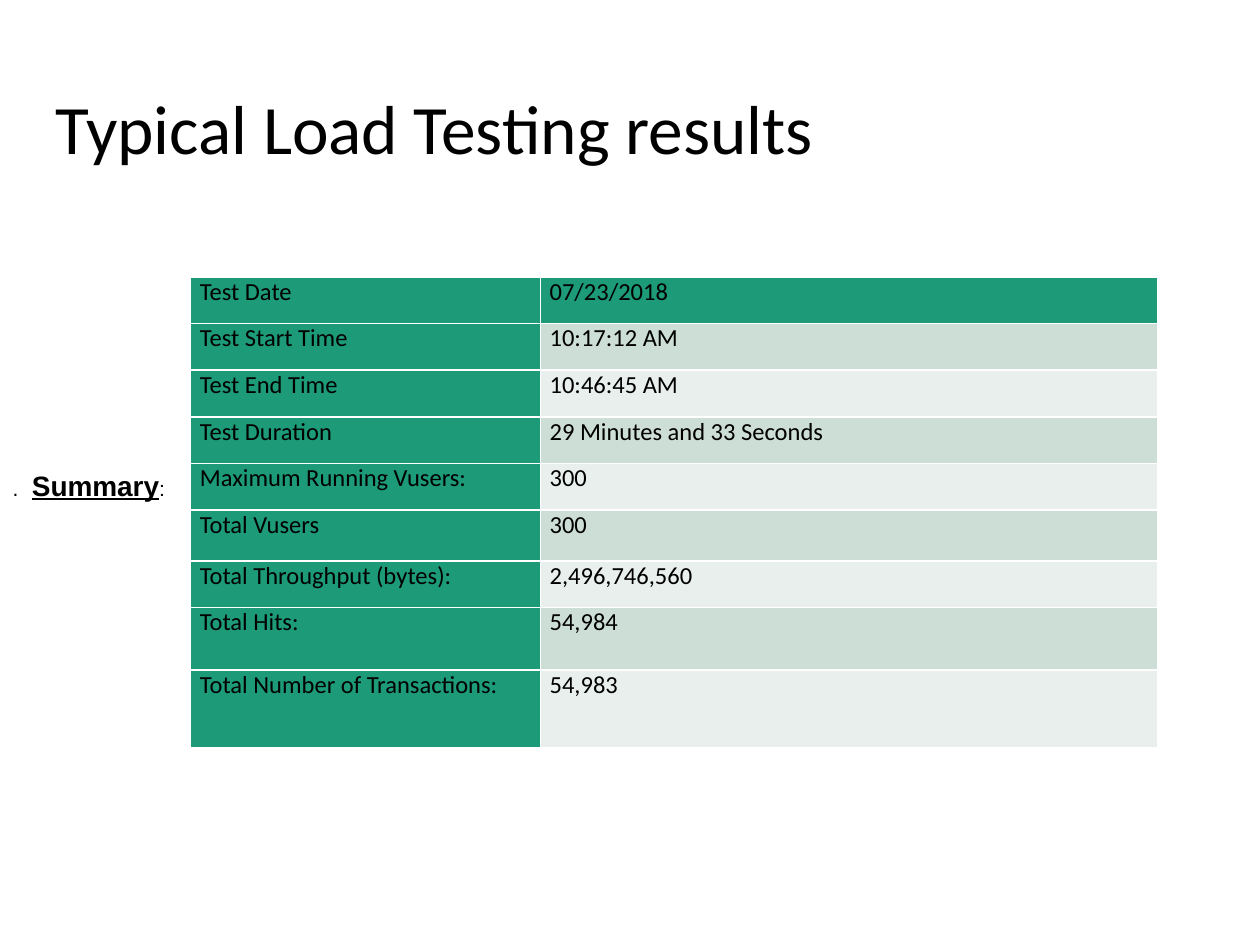
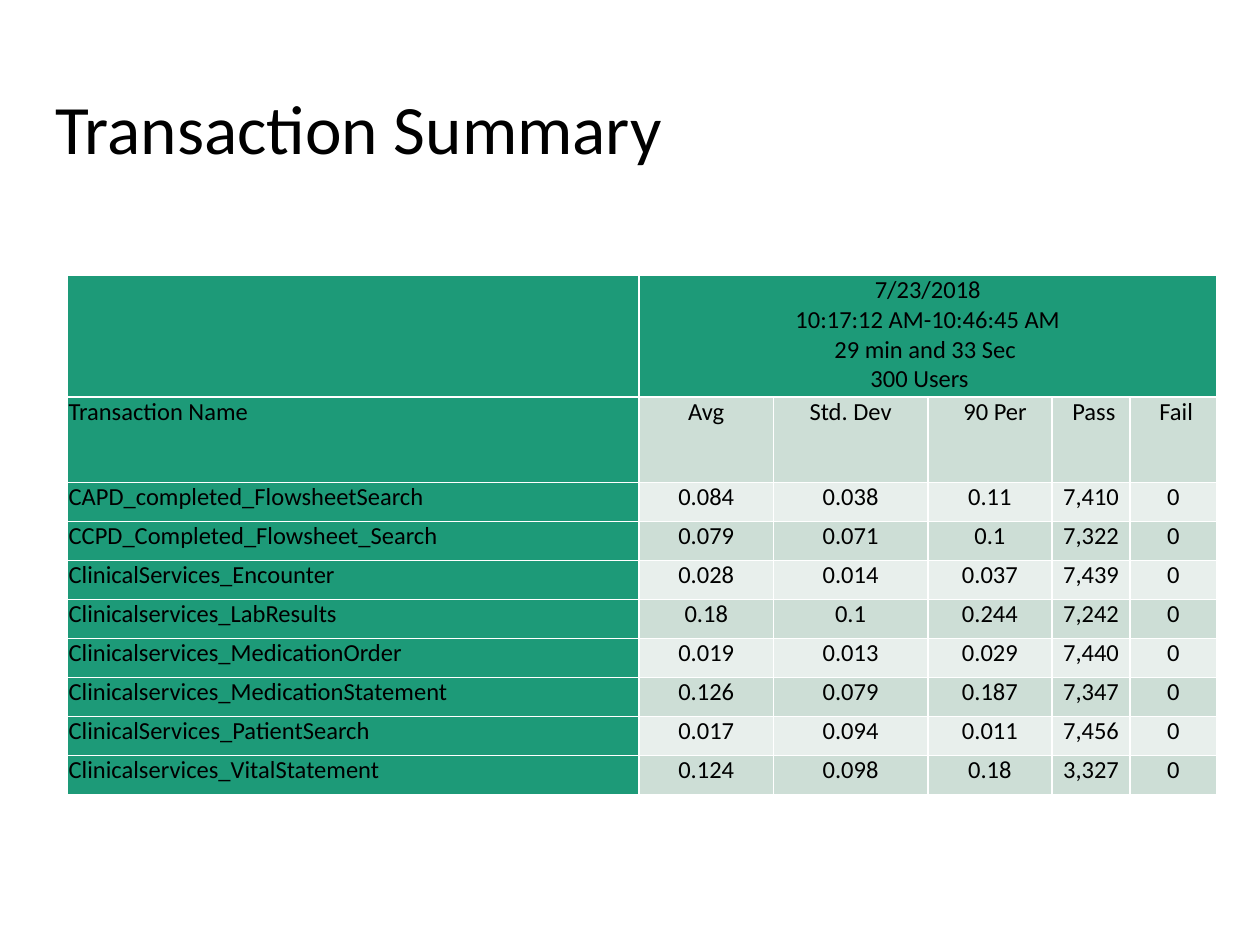
from pptx import Presentation
from pptx.util import Pt
from pptx.dml.color import RGBColor
from pptx.enum.text import PP_ALIGN, MSO_ANCHOR
from pptx.oxml.ns import qn
from lxml.etree import SubElement, Element

INK = {"text": "000000", "head": "1D9A78", "odd": "CDDED6",
       "even": "E8EFEC", "rule": "FFFFFF"}
TITLE = (24.6, 46.8, 671, 60.5)

FACTS = [
    ("Test Date", "07/23/2018"),
    ("Test Start Time", "10:17:12 AM"),
    ("Test End Time", "10:46:45 AM"),
    ("Test Duration", "29 Minutes and 33 Seconds"),
    ("Maximum Running Vusers:", "300"),
    ("Total Vusers", "300"),
    ("Total Throughput (bytes):", "2,496,746,560"),
    ("Total Hits:", "54,984"),
    ("Total Number of Transactions:", "54,983"),
]
RUN = "7/23/2018\n10:17:12 AM-10:46:45 AM\n29 min and 33 Sec\n300 Users"
CALLS = [
    ("", RUN, "", "", "", ""),
    ("Transaction Name", "Avg", "Std. Dev", "90 Per", "Pass", "Fail"),
    ("CAPD_completed_FlowsheetSearch", "0.084", "0.038", "0.11", "7,410", "0"),
    ("CCPD_Completed_Flowsheet_Search", "0.079", "0.071", "0.1", "7,322", "0"),
    ("ClinicalServices_Encounter", "0.028", "0.014", "0.037", "7,439", "0"),
    ("Clinicalservices_LabResults", "0.18", "0.1", "0.244", "7,242", "0"),
    ("Clinicalservices_MedicationOrder", "0.019", "0.013", "0.029", "7,440", "0"),
    ("Clinicalservices_MedicationStatement", "0.126", "0.079", "0.187", "7,347", "0"),
    ("ClinicalServices_PatientSearch", "0.017", "0.094", "0.011", "7,456", "0"),
    ("Clinicalservices_VitalStatement", "0.124", "0.098", "0.18", "3,327", "0"),
]


def tint(name):
    return RGBColor.from_string(INK[name])


def style(font, size, face="Calibri"):
    font.name = face
    font.size = Pt(size)
    font.color.rgb = tint("text")


def add_box(slide, box, pad, wrap=True):
    frame = slide.shapes.add_textbox(*map(Pt, box)).text_frame
    frame.word_wrap = wrap
    frame.margin_left = frame.margin_right = Pt(7.2)
    frame.margin_top = frame.margin_bottom = Pt(pad)
    return frame


def add_title(slide, text):
    frame = add_box(slide, TITLE, 7.2)
    frame.text = text
    line = frame.paragraphs[0]
    line.line_spacing = 0.9
    style(line.runs[0].font, 39.6)


def add_label(slide, box):
    line = add_box(slide, box, 3.6, False).paragraphs[0]
    for text, size in ((".", 12), (" ", 16), ("Summary", 16), (":", 12)):
        run = line.add_run()
        run.text = text
        style(run.font, size, "Arial")
        run.font.bold = run.font.underline = text == "Summary"
    line.runs[0].font._element.set("spc", "330")


def add_rules(cell):
    props = cell._tc.get_or_add_tcPr()
    for place, side in enumerate("LRTB"):
        rule = Element(qn(f"a:ln{side}"), w=str(Pt(1)))
        fill = SubElement(rule, qn("a:solidFill"))
        SubElement(fill, qn("a:srgbClr"), val=INK["rule"])
        props.insert(place, rule)


def add_grid(slide, spot, rows, widths, heights, pad, align):
    size = sum(widths), sum(heights)
    grid = slide.shapes.add_table(
        len(rows), len(widths), *map(Pt, spot + size)).table
    grid.first_row = grid.horz_banding = False
    for col, width in zip(grid.columns, widths):
        col.width = Pt(width)
    for row, height in zip(grid.rows, heights):
        row.height = Pt(height)
    for r, row in enumerate(rows):
        for c, text in enumerate(row):
            cell = grid.cell(r, c)
            cell.margin_left = cell.margin_right = Pt(pad)
            cell.margin_top = cell.margin_bottom = 0
            cell.vertical_anchor = MSO_ANCHOR.TOP
            cell.text = text
            for line in cell.text_frame.paragraphs:
                line.alignment = align if c else PP_ALIGN.LEFT
                style(line.font, 14)
                for run in line.runs:
                    style(run.font, 14)
            cell.fill.solid()
            band = "odd" if r % 2 else "even"
            cell.fill.fore_color.rgb = tint(band if r and c else "head")
            add_rules(cell)
    return grid


def add_facts(slide):
    add_title(slide, "Typical Load Testing results")
    add_label(slide, (0.1, 264, 106.5, 41))
    heights = [26.4] + [26.65] * 4 + [29.1, 26.6, 35.7, 44.4]
    add_grid(slide, (109, 158.5), FACTS, [199.9, 352.6], heights,
             5.2, PP_ALIGN.LEFT)


def add_calls(slide):
    add_title(slide, "Transaction Summary")
    widths = [326.6, 76.8, 88.2, 71, 44.7, 49.4]
    heights = [69.6, 48.8] + [22.32] * 8
    grid = add_grid(slide, (38.6, 157.2), CALLS, widths, heights,
                    0.6, PP_ALIGN.CENTER)
    head = grid.cell(0, 1)
    head.merge(grid.cell(0, 5))
    for line, inset in zip(head.text_frame.paragraphs[2:], (3, 9.4)):
        line._p.get_or_add_pPr().set("marR", str(Pt(inset)))
    for col, shift in ((3, 6.6), (4, 3.8), (5, 3.8)):
        grid.cell(1, col).margin_left = Pt(shift)


def main():
    deck = Presentation()
    deck.slide_width, deck.slide_height = Pt(720), Pt(540)
    for fill in (add_facts, add_calls):
        fill(deck.slides.add_slide(deck.slide_layouts[6]))
    deck.save("out.pptx")


if __name__ == "__main__":
    main()
